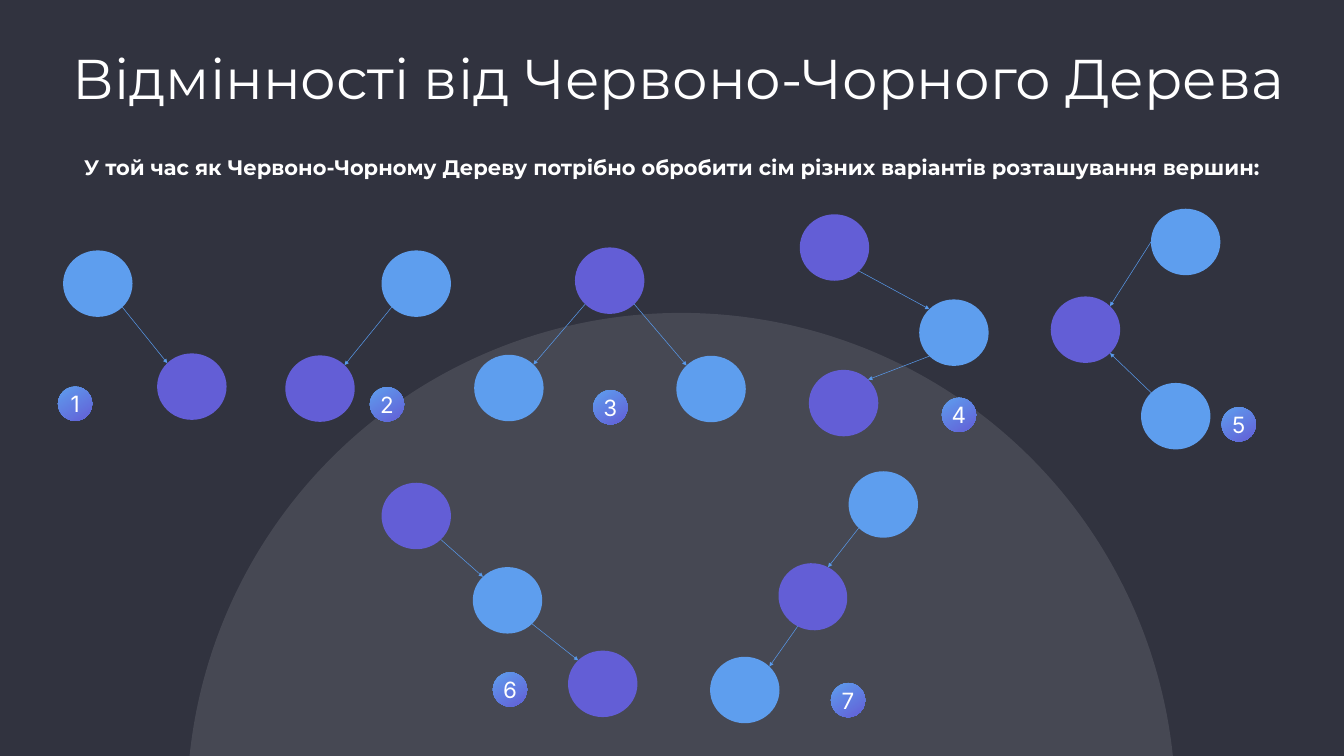
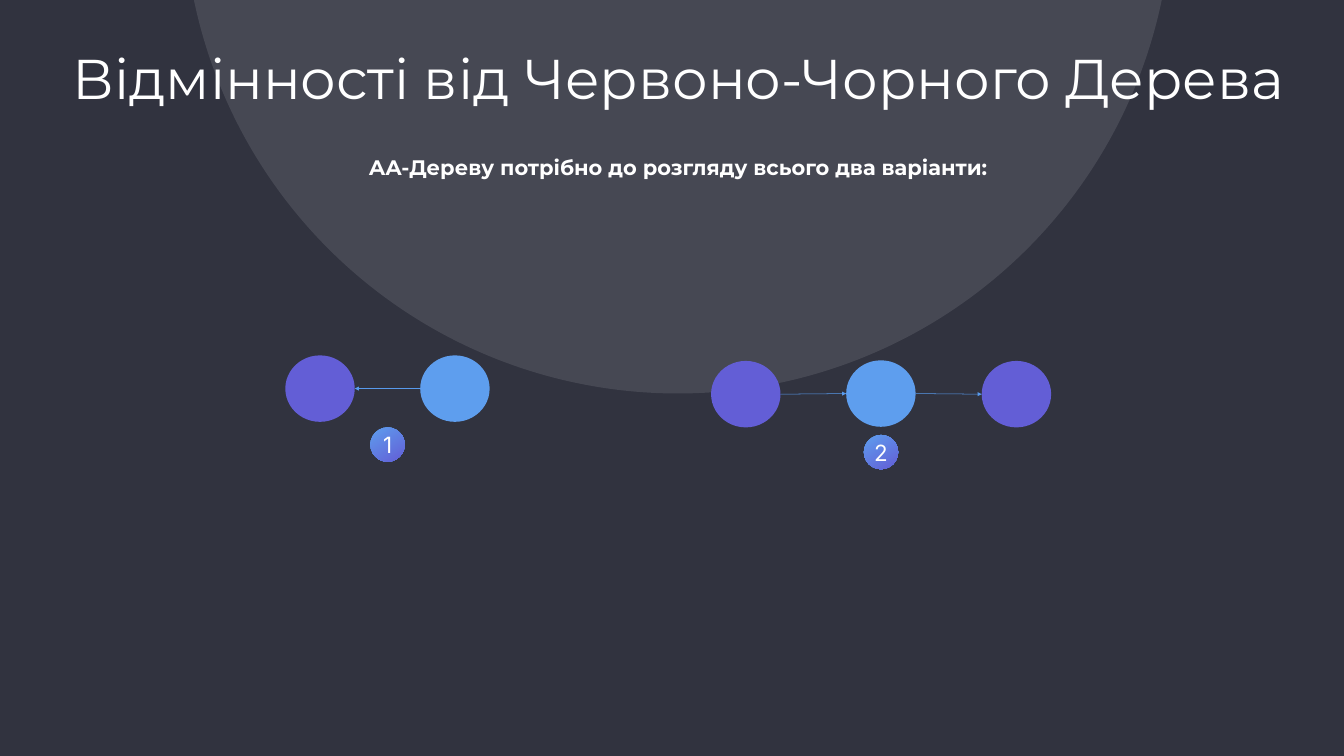
import math

import lxml.etree
import pptx
import pptx.dml.color
import pptx.enum.shapes
import pptx.enum.text
import pptx.oxml.ns
import pptx.util
from pptx.util import Cm

# Shared look
BACKGROUND = "31333F"
DISK = "464853"
WHITE = "FFFFFF"
BLUE = "5E9EEE"
VIOLET = "635ED6"
ARROW = "589AEC"
HEADING_FONT = "Montserrat"
NUMBER_FONT = "Inter"

# Shared sizes, in centimetres
PAGE_WIDTH, PAGE_HEIGHT = 67.74, 38.1
NODE_WIDTH, NODE_HEIGHT = 3.5, 3.35
BADGE_SIZE = 1.73
DISK_SIZE = 49.83
MARGIN = 0.64

# Connection sites of a round node, counterclockwise from the top
(TOP, TOP_LEFT, LEFT, BOTTOM_LEFT,
 BOTTOM, BOTTOM_RIGHT, RIGHT, TOP_RIGHT) = range(8)

TITLE = "Відмінності від Червоно-Чорного Дерева"

# Each tree: badge position, nodes (colour, left, top, optional rotation),
# arrows (from node, site, to node, site)
RED_BLACK_TREES = [
    ((2.92, 19.48),
     [(BLUE, 3.18, 12.62), (VIOLET, 7.92, 17.81)],
     [(0, BOTTOM_RIGHT, 1, TOP_LEFT)]),
    ((18.64, 19.51),
     [(BLUE, 19.23, 12.62), (VIOLET, 14.38, 17.91)],
     [(0, BOTTOM_LEFT, 1, TOP_RIGHT)]),
    ((29.9, 19.66),
     [(VIOLET, 28.98, 12.47), (BLUE, 23.9, 17.88), (BLUE, 34.09, 17.93)],
     [(0, BOTTOM_LEFT, 1, TOP_RIGHT), (0, BOTTOM_RIGHT, 2, TOP_LEFT)]),
    ((47.47, 20.04),
     [(VIOLET, 40.31, 10.8), (BLUE, 46.33, 15.09), (VIOLET, 40.77, 18.64)],
     [(0, BOTTOM_RIGHT, 1, TOP_LEFT), (1, BOTTOM_LEFT, 2, TOP_RIGHT)]),
    ((61.57, 20.52),
     [(BLUE, 58.01, 10.52), (VIOLET, 52.96, 14.94), (BLUE, 57.51, 19.3)],
     [(0, LEFT, 1, TOP_RIGHT), (2, TOP_LEFT, 1, BOTTOM_RIGHT)]),
    ((24.84, 33.88),
     [(VIOLET, 19.23, 24.33), (BLUE, 23.83, 28.58), (VIOLET, 28.63, 32.79)],
     [(0, BOTTOM_RIGHT, 1, TOP_LEFT), (1, BOTTOM_RIGHT, 2, TOP_LEFT)]),
    ((41.88, 34.42),
     [(BLUE, 42.77, 23.75), (VIOLET, 39.22, 28.4, 27.2), (BLUE, 35.79, 33.1)],
     [(0, BOTTOM_LEFT, 1, TOP), (1, BOTTOM, 2, TOP_RIGHT)]),
]

AA_TREES = [
    ((18.67, 21.54),
     [(BLUE, 21.18, 17.91), (VIOLET, 14.38, 17.91)],
     [(0, LEFT, 1, RIGHT)]),
    ((43.54, 21.92),
     [(VIOLET, 35.84, 18.19), (BLUE, 42.65, 18.16), (VIOLET, 49.48, 18.19)],
     [(0, RIGHT, 1, LEFT), (1, RIGHT, 2, LEFT)]),
]


def rgb(value):
    return pptx.dml.color.RGBColor.from_string(value)


def style_text(frame, text, font, size, bold=False):
    """Write one centred white paragraph."""
    para = frame.paragraphs[0]
    para.text = text
    para.alignment = pptx.enum.text.PP_ALIGN.CENTER
    para.font.name = font
    para.font.size = pptx.util.Pt(size)
    para.font.bold = bold
    para.font.color.rgb = rgb(WHITE)


def set_insets(frame, inset):
    frame.margin_left = frame.margin_right = Cm(inset)
    frame.margin_top = frame.margin_bottom = Cm(inset)


def add_round(page, kind, left, top, width, height, fill):
    shape = page.shapes.add_shape(kind, Cm(left), Cm(top), Cm(width), Cm(height))
    shape.shadow.inherit = False
    shape.line.fill.background()
    shape.fill.solid()
    shape.fill.fore_color.rgb = rgb(fill)
    return shape


def add_node(page, fill, left, top, rotation=0):
    kind = pptx.enum.shapes.MSO_SHAPE.FLOWCHART_CONNECTOR
    node = add_round(page, kind, left, top, NODE_WIDTH, NODE_HEIGHT, fill)
    node.rotation = rotation
    return node


def site_point(node, site):
    """Place of a connection site on the rim, with the node's rotation."""
    angle = math.radians(45 * site)
    across = -math.sin(angle) * node.width / 2
    down = -math.cos(angle) * node.height / 2
    turn = math.radians(node.rotation)
    x = across * math.cos(turn) - down * math.sin(turn)
    y = across * math.sin(turn) + down * math.cos(turn)
    return (round(node.left + node.width / 2 + x),
            round(node.top + node.height / 2 + y))


def add_arrow(page, start, start_site, end, end_site):
    qn = pptx.oxml.ns.qn
    arrow = page.shapes.add_connector(
        pptx.enum.shapes.MSO_CONNECTOR.STRAIGHT,
        *site_point(start, start_site), *site_point(end, end_site))
    arrow.line.color.rgb = rgb(ARROW)
    arrow.line.width = pptx.util.Pt(0.75)
    # Arrowhead, no shadow, and the ties to both nodes
    properties = arrow._element.spPr
    lxml.etree.SubElement(properties.find(qn("a:ln")), qn("a:tailEnd"), type="triangle")
    lxml.etree.SubElement(properties, qn("a:effectLst"))
    ties = arrow._element.nvCxnSpPr.cNvCxnSpPr
    for tag, node, site in (("a:stCxn", start, start_site), ("a:endCxn", end, end_site)):
        lxml.etree.SubElement(ties, qn(tag), id=str(node.shape_id), idx=str(site))


def add_badge(page, number, left, top):
    badge = add_round(page, pptx.enum.shapes.MSO_SHAPE.OVAL,
                      left, top, BADGE_SIZE, BADGE_SIZE, BLUE)
    badge.fill.gradient()
    badge.fill.gradient_angle = 360 - 57
    for stop, position, colour in zip(badge.fill.gradient_stops, (0, 1), (BLUE, VIOLET)):
        stop.position = position
        stop.color.rgb = rgb(colour)
    frame = badge.text_frame
    set_insets(frame, 0)
    frame.vertical_anchor = pptx.enum.text.MSO_ANCHOR.MIDDLE
    style_text(frame, str(number), NUMBER_FONT, 32)


def add_tree(page, number, badge_place, nodes, arrows):
    drawn = [add_node(page, *node) for node in nodes]
    for start, start_site, end, end_site in arrows:
        add_arrow(page, drawn[start], start_site, drawn[end], end_site)
    add_badge(page, number, *badge_place)


def add_disk(page, left, top):
    """Large disk, sent behind the title."""
    disk = add_round(page, pptx.enum.shapes.MSO_SHAPE.OVAL,
                     left, top, DISK_SIZE, DISK_SIZE, DISK)
    page.shapes.title._element.addprevious(disk._element)


def set_title(page):
    title = page.shapes.title
    title.left, title.top = Cm(MARGIN), Cm(2.01)
    title.width, title.height = Cm(PAGE_WIDTH - MARGIN), Cm(3.71)
    frame = title.text_frame
    set_insets(frame, 0.15)
    frame.word_wrap = True
    frame.auto_size = pptx.enum.text.MSO_AUTO_SIZE.SHAPE_TO_FIT_TEXT
    frame.vertical_anchor = pptx.enum.text.MSO_ANCHOR.MIDDLE
    style_text(frame, TITLE, HEADING_FONT, 80)


def add_subtitle(page, text, left):
    box = page.shapes.add_textbox(Cm(left), Cm(7.65), Cm(PAGE_WIDTH - left), Cm(1.55))
    box.text_frame.word_wrap = True
    box.text_frame.auto_size = pptx.enum.text.MSO_AUTO_SIZE.SHAPE_TO_FIT_TEXT
    style_text(box.text_frame, text, HEADING_FONT, 30, bold=True)


def add_page(deck, disk_place, subtitle, subtitle_left, trees):
    page = deck.slides.add_slide(deck.slide_layouts.get_by_name("Title Only"))
    set_title(page)
    add_disk(page, *disk_place)
    add_subtitle(page, subtitle, subtitle_left)
    for number, tree in enumerate(trees, start=1):
        add_tree(page, number, *tree)


def main():
    deck = pptx.Presentation()
    deck.slide_width, deck.slide_height = Cm(PAGE_WIDTH), Cm(PAGE_HEIGHT)
    background = deck.slide_master.background.fill
    background.solid()
    background.fore_color.rgb = rgb(BACKGROUND)

    # Seven cases of the red-black tree
    add_page(deck, (9.42, 15.77),
             "У той час як Червоно-Чорному Дереву потрібно обробити "
             "сім різних варіантів розташування вершин:", 0, RED_BLACK_TREES)
    # Two cases of the AA tree
    add_page(deck, (9.25, -30),
             "AA-Дереву потрібно до розгляду всього два варіанти:", MARGIN, AA_TREES)
    deck.save("out.pptx")


main()
